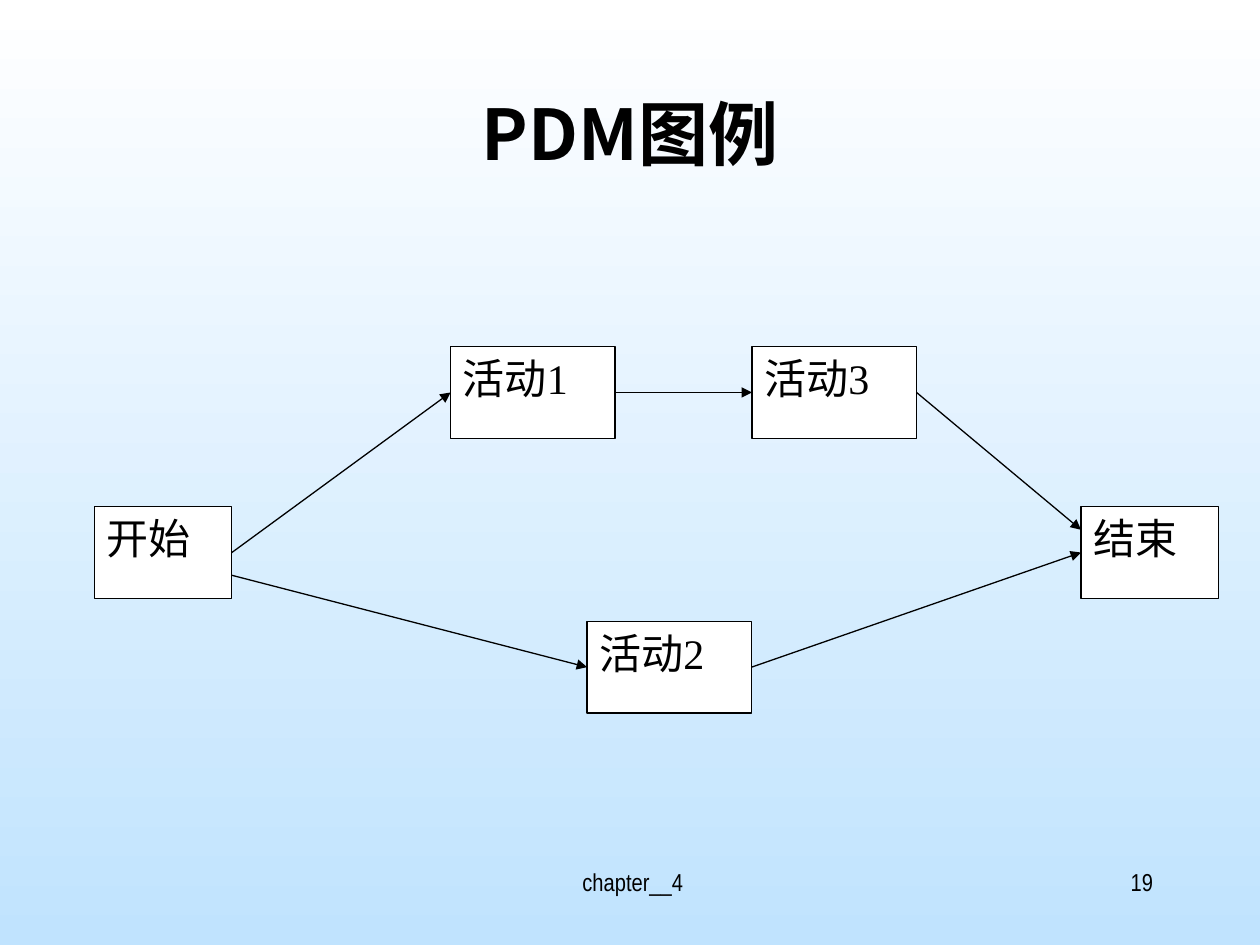
from lxml import etree
from pptx import Presentation
from pptx import util as u
from pptx.dml.color import RGBColor
from pptx.enum import shapes, text
from pptx.oxml import ns

Pt = u.Pt
HUES = {"ink": "000000", "box": "FFFFFF", "top": "FFFFFF", "foot": "C0E3FE"}
HUES = {name: RGBColor.from_string(code) for name, code in HUES.items()}
HAN = "Noto Sans CJK SC"


def write(shape, words, font, size, align, bold=False):
    frame = shape.text_frame
    frame.word_wrap = True
    frame.auto_size = text.MSO_AUTO_SIZE.NONE
    frame.vertical_anchor = text.MSO_ANCHOR.TOP
    para = frame.paragraphs[0]
    para.alignment = align
    run = para.add_run()
    run.text = words
    run.font.name, run.font.size, run.font.bold = font, Pt(size), bold
    run.font.color.rgb = HUES["ink"]
    east = etree.Element(ns.qn("a:ea"), typeface=HAN)
    run.font._element.find(ns.qn("a:latin")).addnext(east)


deck = Presentation()
deck.slide_width, deck.slide_height = Pt(720), Pt(540)
slide = deck.slides.add_slide(deck.slide_layouts[5])

# Background, white at the top to light blue
fill = slide.background.fill
fill.gradient()
fill.gradient_angle = 270
for stop, place, hue in zip(fill.gradient_stops, (0, 1), ("top", "foot")):
    stop.position = place
    stop.color.rgb = HUES[hue]

# Title
title = slide.shapes.title
title.left, title.top, title.width, title.height = Pt(54), Pt(48), Pt(612), Pt(90)
write(title, "PDM图例", HAN, 40, text.PP_ALIGN.CENTER, bold=True)

# Footer and page number
for words, left, width, align in (
    (" chapter__4", 246, 228, text.PP_ALIGN.CENTER),
    ("19", 516, 150, text.PP_ALIGN.RIGHT),
):
    note = slide.shapes.add_textbox(Pt(left), Pt(492), Pt(width), Pt(36))
    write(note, words, "Arial Narrow", 14, align)

# Activity boxes
boxes = {}
for words, left, top, width in (
    ("开始", 54, 289.5, 78.5),
    ("活动1", 257.5, 198, 94),
    ("活动3", 429.75, 198, 94),
    ("活动2", 335.5, 355, 94),
    ("结束", 617.75, 289.5, 78.5),
):
    box = slide.shapes.add_shape(
        shapes.MSO_SHAPE.RECTANGLE, Pt(left), Pt(top), Pt(width), Pt(52.5))
    box.shadow.inherit = False
    box.fill.solid()
    box.fill.fore_color.rgb = HUES["box"]
    box.line.color.rgb = HUES["ink"]
    box.line.width = Pt(0.75)
    write(box, words, "Times New Roman", 24, text.PP_ALIGN.JUSTIFY)
    boxes[words] = box

# Arrows from right side to left side; a shift moves an end off the middle
for start, end, drop, rise in (
    ("开始", "活动2", 13, 0),
    ("开始", "活动1", 0, 0),
    ("活动1", "活动3", 0, 0),
    ("活动2", "结束", 0, 0),
    ("活动3", "结束", 0, -13),
):
    a, b = boxes[start], boxes[end]
    arrow = slide.shapes.add_connector(
        shapes.MSO_CONNECTOR.STRAIGHT,
        a.left + a.width, a.top + a.height // 2 + Pt(drop),
        b.left, b.top + b.height // 2 + Pt(rise))
    if not drop:
        arrow.begin_connect(a, 3)
    if not rise:
        arrow.end_connect(b, 1)
    arrow.line.color.rgb = HUES["ink"]
    arrow.line.width = Pt(0.75)
    etree.SubElement(arrow.line._get_or_add_ln(), ns.qn("a:tailEnd"), type="triangle")
    etree.SubElement(arrow._element.spPr, ns.qn("a:effectLst"))

deck.save("out.pptx")
